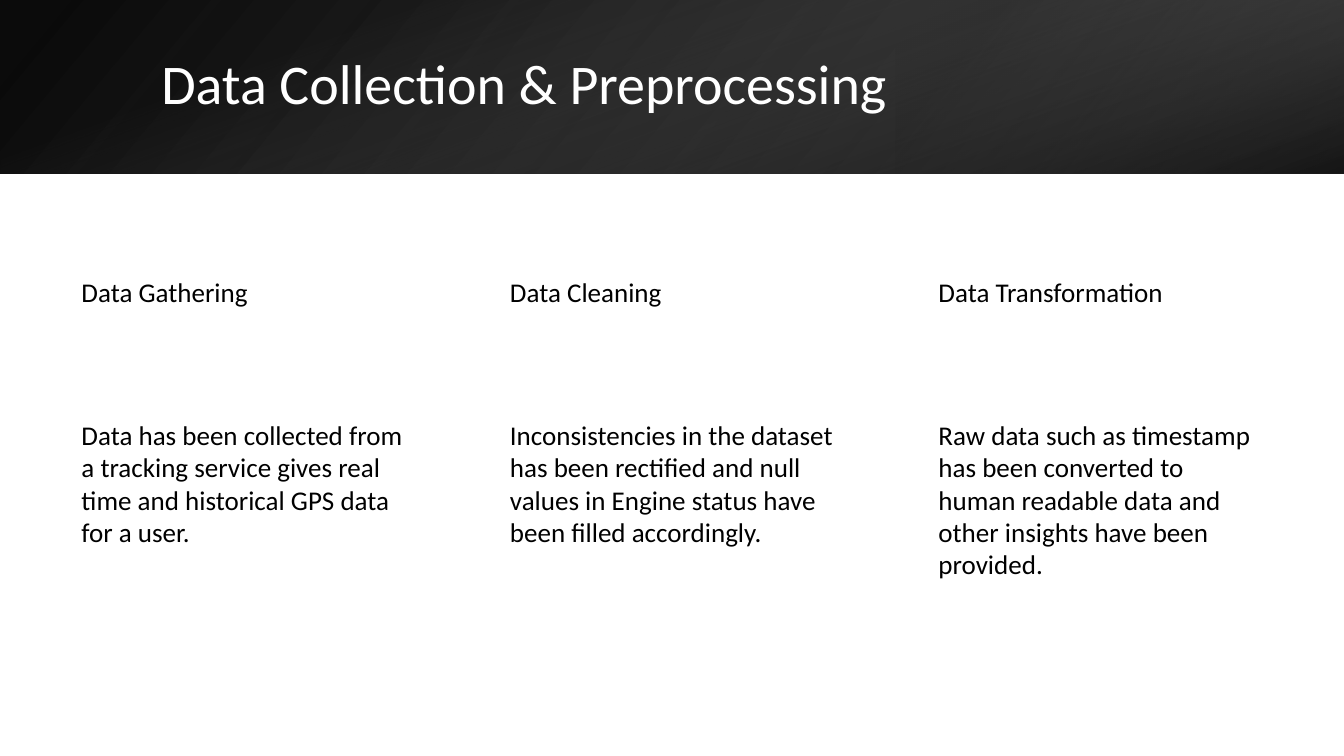
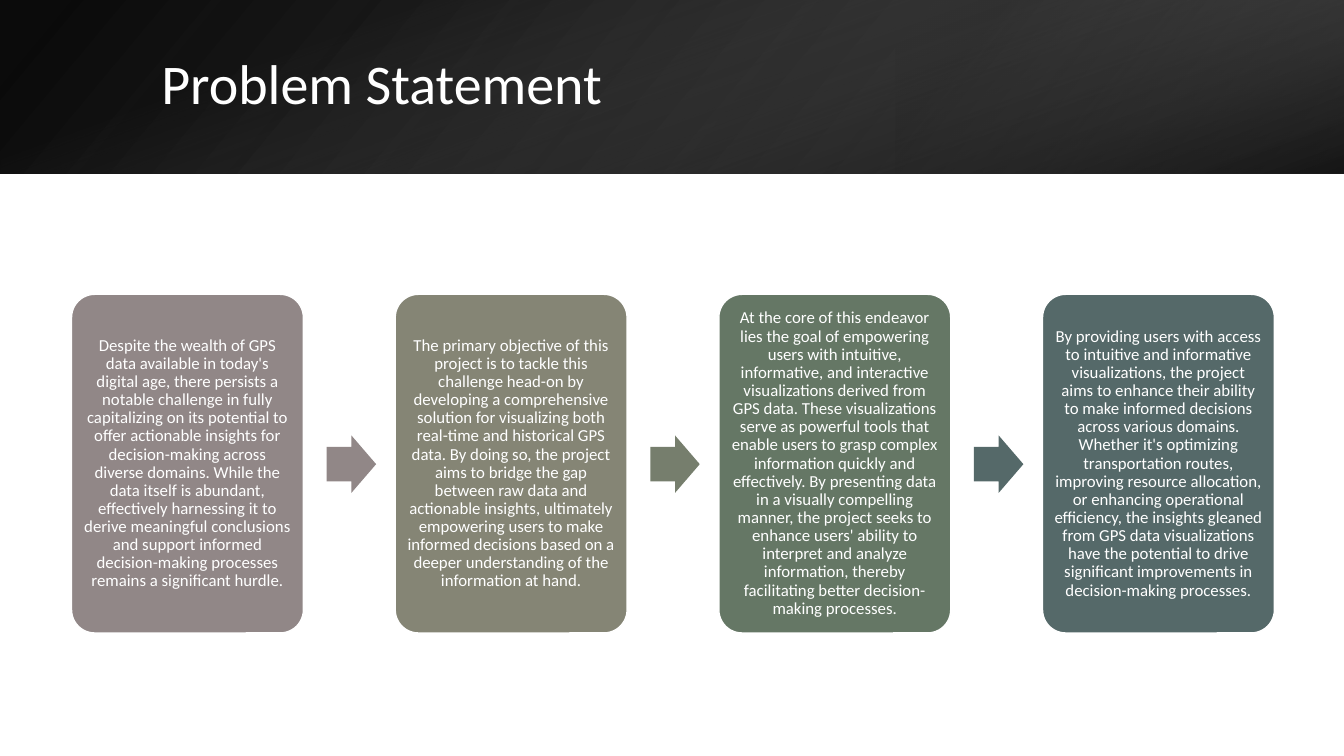
from lxml import etree
from pptx import Presentation
from pptx.dml.color import RGBColor
from pptx.enum import shapes, text
from pptx.oxml.ns import qn
from pptx.util import Inches, Pt

BLACK = RGBColor(0x00, 0x00, 0x00)
WHITE = RGBColor(0xFF, 0xFF, 0xFF)
DARK = RGBColor(0x2F, 0x2F, 0x2F)
GREY = RGBColor(0x46, 0x46, 0x46)
LIGHT = RGBColor(0x5E, 0x5E, 0x5E)
MAUVE = RGBColor(0x91, 0x87, 0x87)
OLIVE = RGBColor(0x85, 0x85, 0x75)
SAGE = RGBColor(0x76, 0x7E, 0x6D)
GREEN = RGBColor(0x65, 0x77, 0x65)
TEAL = RGBColor(0x55, 0x69, 0x69)

WIDE, BAND = 13.33, 1.72
KIND = shapes.MSO_SHAPE
ALIGN = text.PP_ALIGN
ANCHOR = text.MSO_ANCHOR


def write(shape, words, size=19.3, color=BLACK, align=ALIGN.LEFT,
          anchor=ANCHOR.TOP, lead=1.0, after=0, pad=None):
    frame = shape.text_frame
    frame.word_wrap = True
    frame.auto_size = text.MSO_AUTO_SIZE.NONE
    frame.vertical_anchor = anchor
    if pad is not None:
        frame.margin_left = frame.margin_right = Inches(pad)
        frame.margin_top = frame.margin_bottom = Inches(pad)
    para = frame.paragraphs[0]
    para.alignment = align
    para.line_spacing = lead
    para.space_after = Pt(after)
    run = para.add_run()
    run.text = words
    run.font.name = "Calibri"
    run.font.size = Pt(size)
    run.font.color.rgb = color


def draw(slide, kind, left, top, width, height):
    shape = slide.shapes.add_shape(
        kind, Inches(left), Inches(top), Inches(width), Inches(height))
    shape.shadow.inherit = False
    shape.line.fill.background()
    return shape


deck = Presentation()
deck.slide_width = Inches(WIDE)
deck.slide_height = Inches(7.5)

side = (WIDE - BAND) / 2
bands = [
    ((0, 0, WIDE, BAND), 0, True, 140, [(0, BLACK, 96), (1, GREY, 100)]),
    ((WIDE * 2 / 3, 0, WIDE / 3, BAND), 180, True, 320,
     [(0.19, DARK, 68), (1, LIGHT, 79)]),
    ((side, -side, BAND, WIDE), 90, False, 340,
     [(0.23, LIGHT, 0), (0.99, BLACK, 74)]),
]

pages = []
for name in ["Data Collection & Preprocessing", "Problem Statement"]:
    slide = deck.slides.add_slide(deck.slide_layouts[5])
    for box, turn, flip, angle, stops in bands:
        band = draw(slide, KIND.RECTANGLE, *box)
        band.rotation = turn
        if flip:
            band.element.spPr.find(qn("a:xfrm")).set("flipH", "1")
        band.fill.gradient()
        band.fill.gradient_angle = 360 - angle
        for stop, (place, color, _) in zip(band.fill.gradient_stops, stops):
            stop.position = place
            stop.color.rgb = color
        tints = band.element.spPr.findall(".//" + qn("a:srgbClr"))
        for tint, (_, _, alpha) in zip(tints, stops):
            etree.SubElement(tint, qn("a:alpha")).set("val", str(alpha * 1000))
    title = slide.shapes.title
    title.left, title.top = Inches(1.5), Inches(0.38)
    title.width, title.height = Inches(10.98), Inches(0.96)
    write(title, name, size=40, color=WHITE, anchor=ANCHOR.MIDDLE, lead=0.9)
    slide.shapes.element.append(title.element)
    pages.append(slide)

data, goal = pages

steps = [
    ("Data Gathering",
     "Data has been collected from a tracking service gives real time and "
     "historical GPS data for a user."),
    ("Data Cleaning",
     "Inconsistencies in the dataset has been rectified and null values in "
     "Engine status have been filled accordingly."),
    ("Data Transformation",
     "Raw data such as timestamp has been converted to human readable data "
     "and other insights have been provided."),
]
for i, step in enumerate(steps):
    for words, top, height in zip(step, (2.68, 4.1), (0.88, 2.43)):
        box = data.shapes.add_textbox(
            Inches(0.71 + i * 4.25), Inches(top), Inches(3.44), Inches(height))
        write(box, words, after=6)

cards = [
    (MAUVE, MAUVE,
     "Despite the wealth of GPS data available in today's digital age, there "
     "persists a notable challenge in fully capitalizing on its potential to "
     "offer actionable insights for decision-making across diverse domains. "
     "While the data itself is abundant, effectively harnessing it to derive "
     "meaningful conclusions and support informed decision-making processes "
     "remains a significant hurdle."),
    (OLIVE, SAGE,
     "The primary objective of this project is to tackle this challenge "
     "head-on by developing a comprehensive solution for visualizing both "
     "real-time and historical GPS data. By doing so, the project aims to "
     "bridge the gap between raw data and actionable insights, ultimately "
     "empowering users to make informed decisions based on a deeper "
     "understanding of the information at hand."),
    (GREEN, TEAL,
     "At the core of this endeavor lies the goal of empowering users with "
     "intuitive, informative, and interactive visualizations derived from GPS "
     "data. These visualizations serve as powerful tools that enable users to "
     "grasp complex information quickly and effectively. By presenting data "
     "in a visually compelling manner, the project seeks to enhance users' "
     "ability to interpret and analyze information, thereby facilitating "
     "better decision-making processes."),
    (TEAL, None,
     "By providing users with access to intuitive and informative "
     "visualizations, the project aims to enhance their ability to make "
     "informed decisions across various domains. Whether it's optimizing "
     "transportation routes, improving resource allocation, or enhancing "
     "operational efficiency, the insights gleaned from GPS data "
     "visualizations have the potential to drive significant improvements in "
     "decision-making processes."),
]
for i, (color, tip, words) in enumerate(cards):
    left = 0.71 + i * 3.21
    card = draw(goal, KIND.ROUNDED_RECTANGLE, left, 2.92, 2.3, 3.36)
    card.adjustments[0] = 0.1
    card.fill.solid()
    card.fill.fore_color.rgb = color
    card.line.color.rgb = WHITE
    card.line.width = Pt(1)
    write(card, words, size=12, color=WHITE, align=ALIGN.CENTER,
          anchor=ANCHOR.MIDDLE, lead=0.9, pad=0.05)
    if tip:
        arrow = draw(goal, KIND.RIGHT_ARROW, left + 2.53, 4.32, 0.49, 0.57)
        arrow.adjustments[0] = 0.6
        arrow.adjustments[1] = 0.5
        arrow.fill.solid()
        arrow.fill.fore_color.rgb = tip

deck.save("out.pptx")
